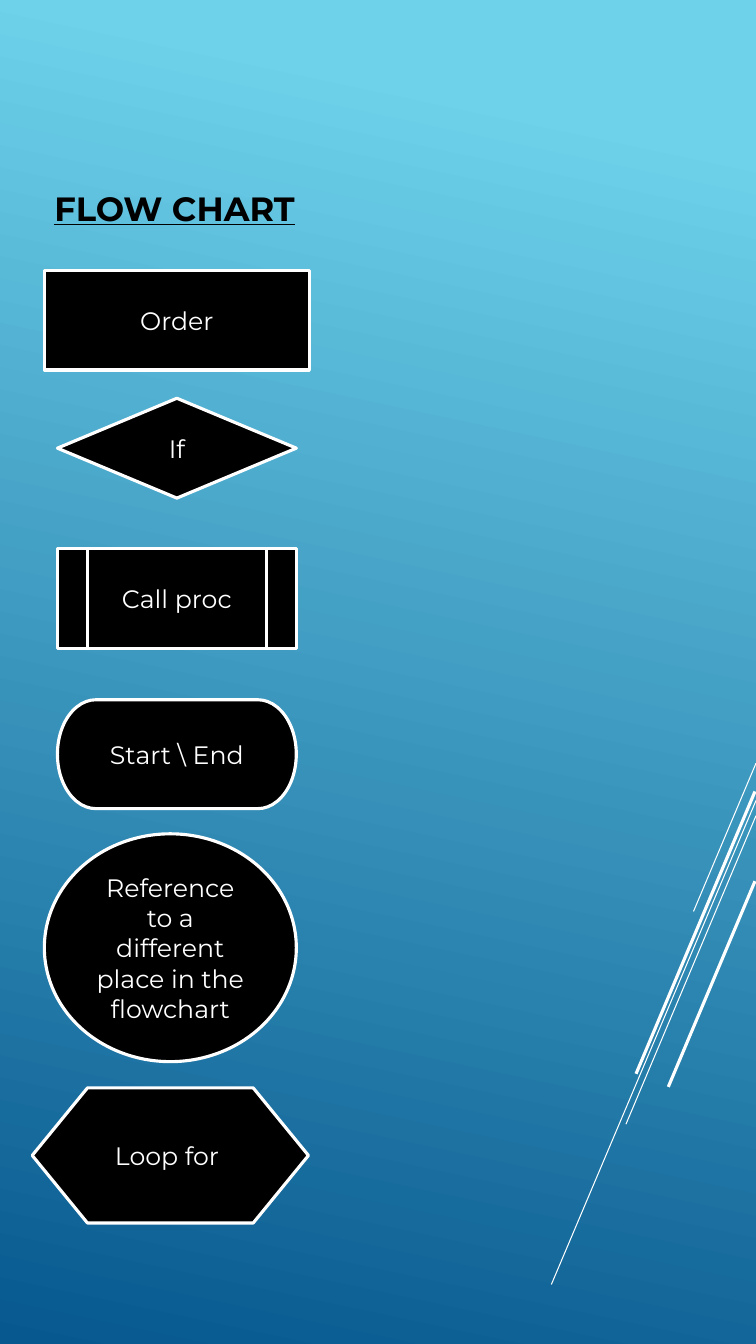
"""Builds a one-slide legend of flow chart symbols."""
from lxml import etree
from pptx import Presentation
from pptx.dml.color import RGBColor
from pptx.enum.shapes import MSO_CONNECTOR, MSO_SHAPE
from pptx.enum.text import MSO_ANCHOR, MSO_AUTO_SIZE, PP_ALIGN
from pptx.oxml.ns import qn
from pptx.util import Inches, Pt

STRAIGHT = MSO_CONNECTOR.STRAIGHT
ORDER = MSO_SHAPE.RECTANGLE
DECISION = MSO_SHAPE.FLOWCHART_DECISION
PROCEDURE = MSO_SHAPE.FLOWCHART_PREDEFINED_PROCESS
TERMINATOR = MSO_SHAPE.FLOWCHART_TERMINATOR
REFERENCE = MSO_SHAPE.FLOWCHART_CONNECTOR
LOOP = MSO_SHAPE.FLOWCHART_PREPARATION
MIDDLE = MSO_ANCHOR.MIDDLE
NO_AUTOFIT = MSO_AUTO_SIZE.NONE
LEFT, CENTER = PP_ALIGN.LEFT, PP_ALIGN.CENTER

COLUMNS, ROWS = 75, 133.3
FONT = "Montserrat"
THIN, THICK = 0.75, 2.25
COLORS = {"sky": "6ED2EB", "deep": "06588E", "ink": "000000", "paper": "FFFFFF"}

SYMBOLS = [
    (ORDER, "Order", (4.4, 26.8, 26.3, 9.9)),
    (DECISION, "If", (5.7, 39.5, 23.7, 9.9)),
    (PROCEDURE, "Call proc", (5.7, 54.4, 23.7, 9.9)),
    (TERMINATOR, "Start \\ End", (5.7, 69.4, 23.7, 10.8)),
    (REFERENCE, "Reference to a different place in the flowchart", (4.4, 82.7, 25, 22.6)),
    (LOOP, "Loop for ", (3.2, 107.9, 27.4, 13.4)),
]
STREAKS = [
    ((75, 75.7), (68.8, 90.4), THIN),
    ((75, 79.4), (54.7, 127.4), THIN),
    ((75, 80.9), (62.1, 111.5), THIN),
    ((74.9, 78.5), (63.1, 106.5), THICK),
    ((74.9, 87.4), (66.3, 107.8), THICK),
]


class SymbolSlide:
    """Holds the style, the grid and the current slide."""

    def __init__(self, deck):
        self.column = deck.slide_width / COLUMNS
        self.row = deck.slide_height / ROWS
        self.slide = deck.slides.add_slide(deck.slide_layouts[5])

    def color(self, name):
        return RGBColor.from_string(COLORS[name])

    def point(self, column, row):
        return round(column * self.column), round(row * self.row)

    def background(self, stops, angle):
        fill = self.slide.background.fill
        fill.gradient()
        fill.gradient_angle = angle
        for stop, (position, name) in zip(fill.gradient_stops, stops):
            stop.position = position
            stop.color.rgb = self.color(name)

    def label(self, frame, text, size, color, align):
        frame.text = text
        frame.word_wrap = True
        frame.vertical_anchor = MIDDLE
        paragraph = frame.paragraphs[0]
        paragraph.alignment = align
        font = paragraph.runs[0].font
        font.name, font.size = FONT, Pt(size)
        font.color.rgb = self.color(color)
        return font

    def outline(self, line, width):
        line.color.rgb = self.color("paper")
        line.width = Pt(width)

    def title(self, text, box):
        heading = self.slide.shapes.title
        heading.left, heading.top = self.point(*box[:2])
        heading.width, heading.height = self.point(*box[2:])
        heading.text_frame.auto_size = NO_AUTOFIT
        font = self.label(heading.text_frame, text, 24, "ink", LEFT)
        font.bold = font.underline = True

    def symbol(self, kind, text, box):
        symbol = self.slide.shapes.add_shape(
            kind, *self.point(*box[:2]), *self.point(*box[2:]))
        symbol.shadow.inherit = False
        symbol.fill.solid()
        symbol.fill.fore_color.rgb = self.color("ink")
        self.outline(symbol.line, THICK)
        self.label(symbol.text_frame, text, 18, "paper", CENTER)

    def streak(self, start, end, width):
        streak = self.slide.shapes.add_connector(
            STRAIGHT, *self.point(*start), *self.point(*end))
        self.outline(streak.line, width)
        etree.SubElement(streak._element.spPr, qn("a:effectLst"))


def main():
    deck = Presentation()
    deck.slide_width, deck.slide_height = Inches(7.5), Inches(13.33)
    legend = SymbolSlide(deck)
    legend.background([(0.1, "sky"), (1, "deep")], 258)
    for streak in STREAKS:
        legend.streak(*streak)
    legend.title("FLOW CHART", (4.4, 5.8, 53.8, 29.6))
    for symbol in SYMBOLS:
        legend.symbol(*symbol)
    deck.save("out.pptx")


if __name__ == "__main__":
    main()
